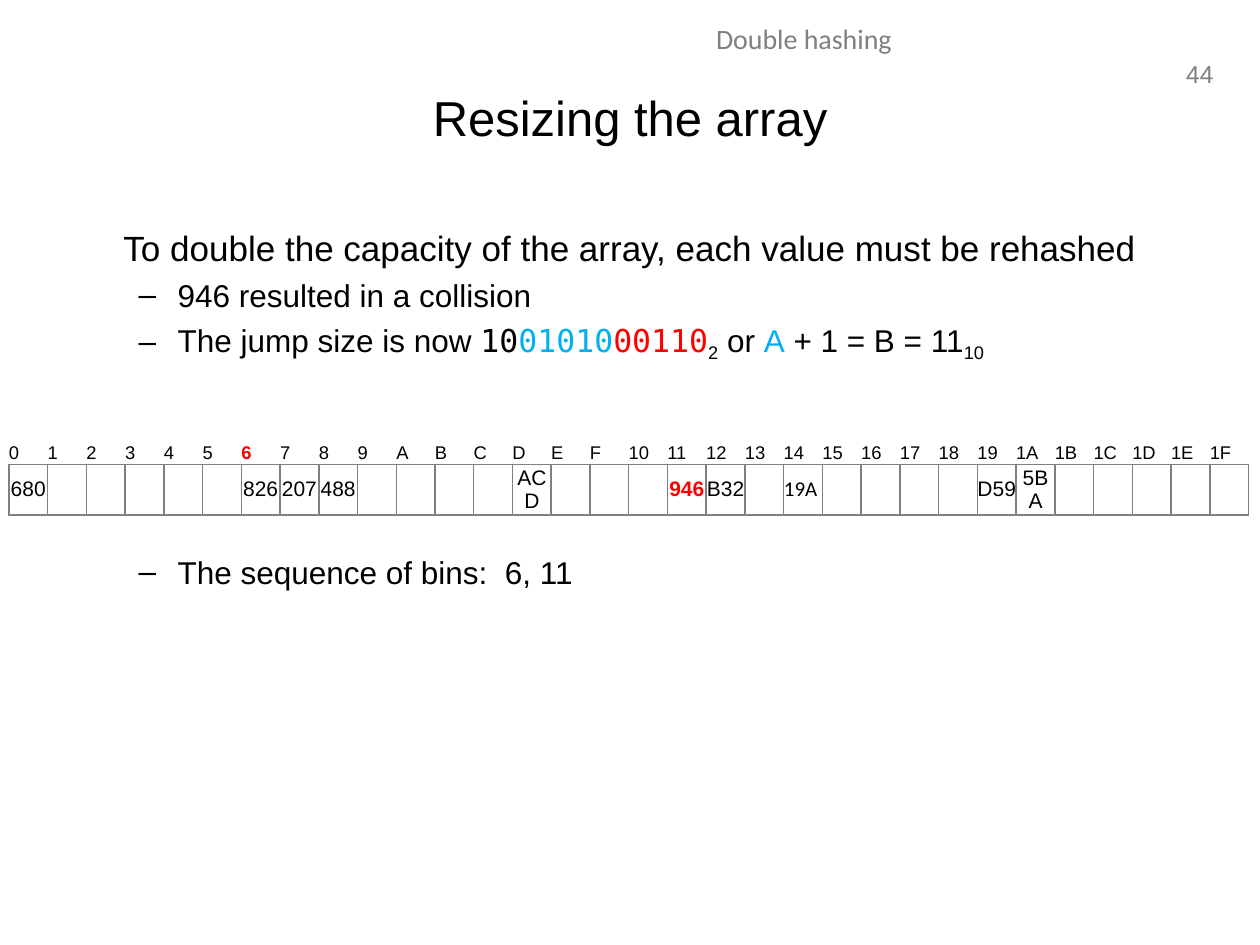
from dataclasses import dataclass

from lxml import etree
from pptx import Presentation
from pptx.dml.color import RGBColor
from pptx.enum import text
from pptx.oxml import ns
from pptx.util import Inches, Pt

COLORS = {"ink": "000000", "gray": "808080", "hash": "00B0F0", "bin": "FF0000"}
SANS, HUMANIST, MONO = "Arial", "Calibri", "DejaVu Sans Mono"
NO_TABLE_STYLE = "{2D5ABB26-0587-4C30-8999-92F81FD0307C}"
BINS = 32
PROBED_BIN, FINAL_BIN = 0x6, 0x11
STORED = {0x0: "680", 0x6: "826", 0x7: "207", 0x8: "488", 0xD: "ACD", 0x11: "946",
          0x12: "B32", 0x14: "19A ", 0x19: "D59", 0x1A: "5BA"}


@dataclass
class Span:
    words: str
    color: str = "ink"
    font: str = SANS
    subscript: bool = False
    bold: bool = False


@dataclass
class Line:
    spans: list[Span]
    size: float = 18
    left: float = 0.81
    hanging: float = 0.31
    bullet: str = "–"
    before: float = 4


LINES = [
    Line([Span("To double the capacity of the array, each value must be rehashed")],
         size=20, left=0.38, hanging=0, bullet="", before=0),
    Line([Span("946 resulted in a collision")]),
    Line([Span("The jump size is now "), Span("10", font=MONO),
          Span("01010", "hash", MONO), Span("00110", "bin", MONO),
          Span("2", subscript=True), Span(" or "), Span("A", "hash"),
          Span(" + 1 = B = 11"), Span("10", subscript=True)]),
    Line([Span("The sequence of bins:  6, 11")], before=108),
]


def add_span(para, span: Span, size: float) -> None:
    run = para.add_run()
    run.text = span.words
    formats = {"name": span.font, "size": Pt(size), "bold": span.bold}
    for name, value in formats.items():
        setattr(run.font, name, value)
    run.font.color.rgb = RGBColor.from_string(COLORS[span.color])
    if span.subscript:
        run.font._element.set("baseline", "-25000")


def place(shape, left: float, top: float, width: float, height: float) -> None:
    shape.left, shape.top = Inches(left), Inches(top)
    shape.width, shape.height = Inches(width), Inches(height)


def add_label(page, area: tuple, span: Span, size: float, align, wrap: bool) -> None:
    box = page.shapes.add_textbox(*map(Inches, area))
    box.text_frame.word_wrap = wrap
    para = box.text_frame.paragraphs[0]
    para.alignment = align
    add_span(para, span, size)


def fill_title(title) -> None:
    place(title, 0.5, 0.3, 9, 1.25)
    title.text_frame.vertical_anchor = text.MSO_ANCHOR.MIDDLE
    para = title.text_frame.paragraphs[0]
    para.alignment = text.PP_ALIGN.CENTER
    add_span(para, Span("Resizing the array"), 28)


def fill_body(body) -> None:
    place(body, 0.5, 1.75, 9, 4.95)
    frame = body.text_frame
    frame.auto_size = text.MSO_AUTO_SIZE.NONE
    for index, line in enumerate(LINES):
        para = frame.add_paragraph() if index else frame.paragraphs[0]
        para.level = 1 if line.bullet else 0
        props = para._p.get_or_add_pPr()
        props.set("marL", str(Inches(line.left)))
        props.set("indent", str(-Inches(line.hanging)))
        if line.bullet:
            etree.SubElement(props, ns.qn("a:buChar"), char=line.bullet)
        else:
            etree.SubElement(props, ns.qn("a:buNone"))
        para.space_before = Pt(line.before)
        for span in line.spans:
            add_span(para, span, line.size)


def add_borders(cell, sides: str) -> None:
    props = cell._tc.get_or_add_tcPr()
    for side in sides:
        border = etree.SubElement(props, ns.qn(f"a:ln{side}"), w=str(Pt(1)))
        fill = etree.SubElement(border, ns.qn("a:solidFill"))
        etree.SubElement(fill, ns.qn("a:srgbClr"), val=COLORS["gray"])


def fill_cell(cell, span: Span, size: float, align, sides: str) -> None:
    add_borders(cell, sides)
    cell.fill.background()
    for side in ("left", "right", "top", "bottom"):
        setattr(cell, f"margin_{side}", 0)
    cell.vertical_anchor = text.MSO_ANCHOR.MIDDLE
    para = cell.text_frame.paragraphs[0]
    para.alignment = align
    if span.words:
        add_span(para, span, size)
    else:
        para.font.size = Pt(size)


def add_hash_table(page) -> None:
    frame = page.shapes.add_table(2, BINS, Inches(0.07), Inches(3.51),
                                  Inches(9.85), Inches(0.38))
    table = frame.table
    table.first_row = table.horz_banding = False
    table._tbl.tblPr.find(ns.qn("a:tableStyleId")).text = NO_TABLE_STYLE
    for row, height in zip(table.rows, (0.16, 0.22)):
        row.height = Inches(height)
    for index in range(BINS):
        probed, final = index == PROBED_BIN, index == FINAL_BIN
        label = Span(f"{index:X}", "bin" if probed else "ink", bold=probed)
        value = Span(STORED.get(index, ""), "bin" if final else "ink",
                     HUMANIST if index == 0x14 else SANS, bold=final)
        fill_cell(table.cell(0, index), label, 10.5, text.PP_ALIGN.LEFT, "B")
        fill_cell(table.cell(1, index), value, 12, text.PP_ALIGN.CENTER, "LRTB")


def main() -> None:
    deck = Presentation()
    deck.slide_width, deck.slide_height = Inches(10), Inches(7.5)
    page = deck.slides.add_slide(deck.slide_layouts[1])
    add_label(page, (9.29, 0.42, 0.44, 0.33), Span("44", "gray"), 14,
              text.PP_ALIGN.RIGHT, wrap=False)
    add_label(page, (3.19, 0.12, 6.38, 0.4), Span("Double hashing", "gray", HUMANIST),
              16, text.PP_ALIGN.CENTER, wrap=True)
    fill_body(page.placeholders[1])
    fill_title(page.shapes.title)
    add_hash_table(page)
    deck.save("out.pptx")


if __name__ == "__main__":
    main()
